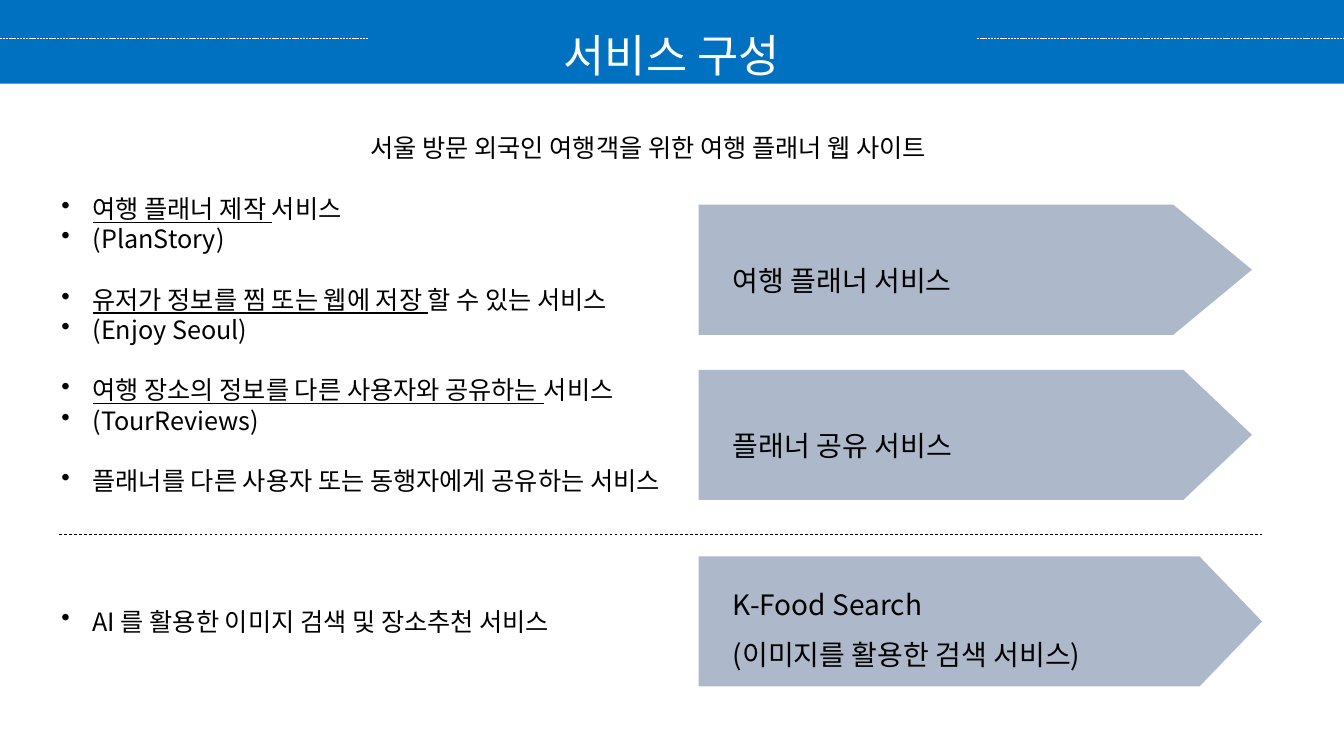
import dataclasses

import pptx
import pptx.dml.color
import pptx.enum.dml
import pptx.enum.shapes
import pptx.enum.text
import pptx.oxml.ns
import pptx.util
from lxml import etree

qn = pptx.oxml.ns.qn
Pt = pptx.util.Pt
Inches = pptx.util.Inches
Dash = pptx.enum.dml.MSO_LINE
Align = pptx.enum.text.PP_ALIGN
Shapes = pptx.enum.shapes.MSO_SHAPE


@dataclasses.dataclass(frozen=True)
class Theme:
    font: str = "Noto Sans CJK KR"
    band: str = "0070C0"
    arrow: str = "ADB9CA"
    ink: str = "000000"
    paper: str = "FFFFFF"
    title_size: int = 32
    label_size: int = 20
    body_size: int = 18
    title_pitch: float = 58
    label_pitch: float = 36
    body_pitch: float = 21.6
    hairline: float = 0.5


class ServiceSlide:
    """One slide on a grid of 40 columns by 25 rows."""

    COLUMNS, ROWS = 40, 25

    def __init__(self, deck, theme):
        self.theme = theme
        self.column = deck.slide_width / self.COLUMNS
        self.row = deck.slide_height / self.ROWS
        self.slide = deck.slides.add_slide(deck.slide_layouts[5])

    def area(self, left, top, width, height):
        return (round(left * self.column), round(top * self.row),
                round(width * self.column), round(height * self.row))

    def color(self, value):
        return pptx.dml.color.RGBColor.from_string(value)

    def fill(self, shape, value):
        shape.fill.solid()
        shape.fill.fore_color.rgb = self.color(value)

    def frame(self, shape):
        frame = shape.text_frame
        frame.word_wrap = True
        frame.auto_size = pptx.enum.text.MSO_AUTO_SIZE.NONE
        frame.vertical_anchor = pptx.enum.text.MSO_ANCHOR.TOP
        return frame

    def style(self, paragraph, size, pitch, color, align=Align.LEFT):
        paragraph.alignment = align
        paragraph.line_spacing = Pt(pitch)
        for run in paragraph.runs:
            run.font.size = Pt(size)
            run.font.name = self.theme.font
            run.font.color.rgb = self.color(color)
            east_asian = etree.SubElement(run.font._element, qn("a:ea"))
            east_asian.set("typeface", self.theme.font)

    def title(self, wording, height):
        heading = self.slide.shapes.title
        heading.left, heading.top, heading.width, heading.height = self.area(
            0, 0, self.COLUMNS, height)
        self.fill(heading, self.theme.band)
        frame = self.frame(heading)
        frame.margin_top = frame.margin_bottom = 0
        frame.text = wording
        self.style(frame.paragraphs[0], self.theme.title_size,
                   self.theme.title_pitch, self.theme.paper, Align.CENTER)

    def summary(self, wording, *area):
        frame = self.frame(self.slide.shapes.add_textbox(*self.area(*area)))
        frame.text = wording
        self.style(frame.paragraphs[0], self.theme.body_size,
                   self.theme.body_pitch, self.theme.ink, Align.CENTER)

    def bullets(self, groups, *area):
        """Each group is a list of (underlined, plain) items."""
        frame = self.frame(self.slide.shapes.add_textbox(*self.area(*area)))
        first = True
        for group in groups:
            for position, (underlined, plain) in enumerate(group):
                item = frame.paragraphs[0] if first else frame.add_paragraph()
                item.text = underlined or plain
                if underlined:
                    item.runs[0].font.underline = True
                    item.add_run().text = plain
                properties = item._p.get_or_add_pPr()
                properties.set("marL", str(Inches(0.31)))
                properties.set("indent", str(-Inches(0.31)))
                etree.SubElement(properties, qn("a:buChar")).set("char", "•")
                if position == 0 and not first:
                    item.space_before = Pt(self.theme.body_pitch)
                self.style(item, self.theme.body_size,
                           self.theme.body_pitch, self.theme.ink)
                first = False

    def arrow(self, wording, top, width, tip, text_top):
        left, height = 20.79, 4.3
        arrow = self.slide.shapes.add_shape(
            Shapes.PENTAGON, *self.area(left, top, width, height))
        arrow.shadow.inherit = False
        arrow.adjustments[0] = tip * self.column / (height * self.row)
        self.fill(arrow, self.theme.arrow)
        arrow.line.fill.background()
        frame = self.frame(arrow)
        frame.margin_left = round(1.02 * self.column)
        frame.margin_top = round(text_top * self.row)
        frame.text = wording
        for paragraph in frame.paragraphs:
            self.style(paragraph, self.theme.label_size,
                       self.theme.label_pitch, self.theme.ink)

    def rule(self, start, end, level, color, dash):
        x, y, width, _ = self.area(start, level, end - start, 0)
        rule = self.slide.shapes.add_connector(
            pptx.enum.shapes.MSO_CONNECTOR.STRAIGHT, x, y, x + width, y)
        rule.line.color.rgb = self.color(color)
        rule.line.width = Pt(self.theme.hairline)
        rule.line.dash_style = dash
        etree.SubElement(rule._element.spPr, qn("a:effectLst"))


def main():
    deck = pptx.Presentation()
    deck.slide_width, deck.slide_height = Inches(13.33), Inches(7.5)
    theme = Theme()
    page = ServiceSlide(deck, theme)

    # Title band with a dashed rule on each side
    page.title("서비스 구성", 2.77)
    for start, end in ((0, 10.95), (29.07, 40)):
        page.rule(start, end, 1.28, theme.paper, Dash.SQUARE_DOT)

    # Summary sentence
    page.summary("서울 방문 외국인 여행객을 위한 여행 플래너 웹 사이트",
                 10.23, 4.2, 18.12, 1.33)

    # Services the site builds on
    page.bullets([
        [("여행 플래너 제작 ", "서비스"), ("", "(PlanStory)")],
        [("유저가 정보를 찜 또는 웹에 저장 ", "할 수 있는 서비스"),
         ("", "(Enjoy Seoul)")],
    ], 1.53, 6.23, 17.64, 5.4)
    page.bullets([
        [("여행 장소의 정보를 다른 사용자와 공유하는 ", "서비스"),
         ("", "(TourReviews)")],
        [("", "플래너를 다른 사용자 또는 동행자에게 공유하는 서비스")],
    ], 1.53, 12.23, 20.01, 4.37)
    page.bullets([[("", "AI 를 활용한 이미지 검색 및 장소추천 서비스")]],
                 1.53, 19.87, 15.84, 1.33)

    # Resulting services
    for wording, top, width, tip, text_top in (
            ("여행 플래너 서비스", 6.77, 16.47, 2.34, 1.4),
            ("플래너 공유 서비스", 12.23, 16.47, 2.04, 1.4),
            ("K-Food Search\n(이미지를 활용한 검색 서비스)",
             18.4, 16.77, 1.86, 0.47)):
        page.arrow(wording, top, width, tip, text_top)

    # Divider above the AI service
    page.rule(1.77, 37.56, 17.67, theme.ink, Dash.DASH)

    deck.save("out.pptx")


if __name__ == "__main__":
    main()
